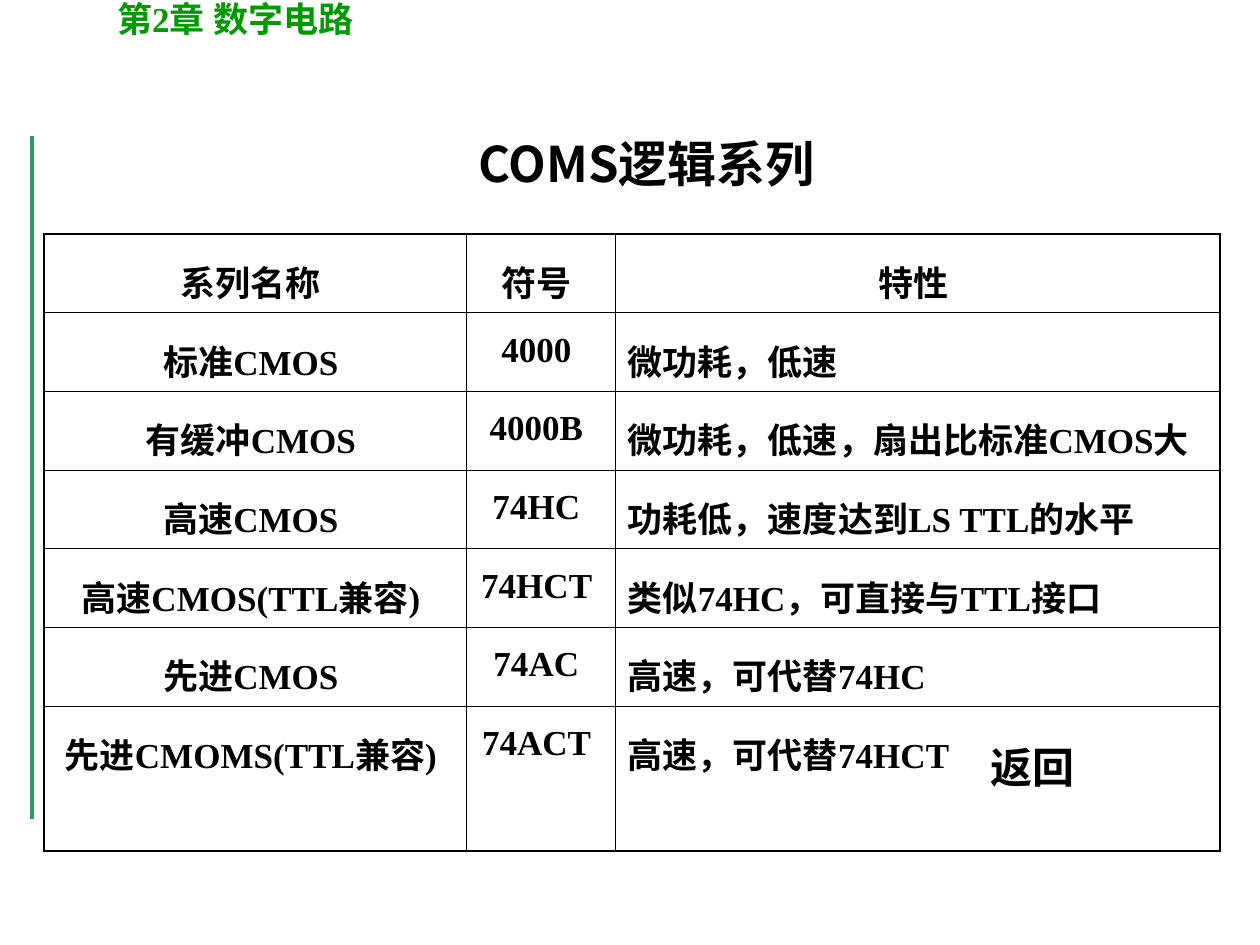
"""Build the slide on CMOS logic families."""
from dataclasses import dataclass
from itertools import groupby
from typing import Any

from lxml.etree import SubElement
from pptx import Presentation
from pptx.dml.color import RGBColor
from pptx.enum.shapes import MSO_CONNECTOR as Connector
from pptx.enum.text import MSO_ANCHOR as Anchor, PP_ALIGN as Align
from pptx.oxml.ns import qn
from pptx.util import Cm, Pt


@dataclass(frozen=True)
class Theme:
    ink: RGBColor = RGBColor(0x00, 0x00, 0x00)
    chapter: RGBColor = RGBColor(0x00, 0x99, 0x00)
    rule: RGBColor = RGBColor(0x33, 0x99, 0x66)
    chinese: str = "Noto Sans CJK SC"
    latin: str = "Times New Roman"
    title_size: int = 28
    back_size: int = 24
    body_size: int = 20
    outer_border: float = 1.08
    inner_border: float = 0.45


THEME = Theme()


@dataclass(frozen=True)
class Label:
    text: str
    left: float
    top: float
    width: float
    height: float
    size: int
    color: RGBColor = THEME.ink
    latin: str = THEME.latin
    align: Align = Align.LEFT
    anchor: Anchor = Anchor.TOP


@dataclass(frozen=True)
class Family:
    name: str
    symbol: str
    feature: str


LABELS = [
    Label("第2章 数字电路", 2.11, -0.18, 14.6, 1.12, THEME.body_size, color=THEME.chapter),
    Label("COMS逻辑系列", 2.24, 1.7, 21.59, 3.18, THEME.title_size,
          latin=THEME.chinese, align=Align.CENTER, anchor=Anchor.MIDDLE),
    Label("返回", 19.71, 14.83, 2.6, 1.5, THEME.back_size),
]
FAMILIES = [
    Family("系列名称 ", "符号 ", "特性 "),
    Family("标准CMOS ", "4000 ", "微功耗，低速"),
    Family("有缓冲CMOS ", "4000B ", "微功耗，低速，扇出比标准CMOS大"),
    Family("高速CMOS ", "74HC ", "功耗低，速度达到LS TTL的水平"),
    Family("高速CMOS(TTL兼容) ", "74HCT ", "类似74HC，可直接与TTL接口"),
    Family("先进CMOS ", "74AC ", "高速，可代替74HC"),
    Family("先进CMOMS(TTL兼容) ", "74ACT ", "高速，可代替74HCT"),
]
COLUMN_WIDTHS = [8.51, 3, 12.2]
ROW_HEIGHTS = [1.58] * (len(FAMILIES) - 1) + [2.92]


def apply(target: Any, values: dict[str, Any]) -> None:
    """Set each named attribute on the target."""
    for name, value in values.items():
        setattr(target, name, value)


def write(para: Any, text: str, size: int, color: RGBColor, latin: str) -> None:
    """Add bold runs, one for each stretch of Chinese or Latin text."""
    for is_latin, letters in groupby(text, str.isascii):
        face = latin if is_latin else THEME.chinese
        span = para.add_run()
        span.text = "".join(letters)
        apply(span.font, {"name": face, "size": Pt(size), "bold": True})
        span.font.color.rgb = color
        SubElement(span.font._element, qn("a:ea"), typeface=face)


def draw_label(page: Any, label: Label) -> None:
    """Draw one line of text in its own box."""
    box = page.shapes.add_textbox(*map(Cm, (label.left, label.top, label.width, label.height)))
    apply(box.text_frame, {"word_wrap": True, "vertical_anchor": label.anchor})
    para = box.text_frame.paragraphs[0]
    para.alignment = label.align
    write(para, label.text, label.size, label.color, label.latin)


def draw_rule(page: Any) -> None:
    """Draw the vertical rule at the left edge."""
    rule = page.shapes.add_connector(Connector.STRAIGHT, Cm(0.64), Cm(2.74), Cm(0.64), Cm(16.51))
    rule.line.color.rgb = THEME.rule
    rule.line.width = Pt(2.25)
    SubElement(rule._element.spPr, qn("a:effectLst"))


def draw_borders(cell: Any, outer: dict[str, bool]) -> None:
    """Give a cell its four borders, heavier on the table's edge."""
    properties = cell._tc.get_or_add_tcPr()
    for side, is_outer in outer.items():
        width = THEME.outer_border if is_outer else THEME.inner_border
        border = SubElement(properties, qn(f"a:ln{side}"), w=str(int(Pt(width))))
        fill = SubElement(border, qn("a:solidFill"))
        SubElement(fill, qn("a:srgbClr"), val=str(THEME.ink))


def draw_table(page: Any) -> None:
    """Draw the table of logic families."""
    last_row, last_column = len(FAMILIES) - 1, len(COLUMN_WIDTHS) - 1
    table = page.shapes.add_table(
        len(FAMILIES), len(COLUMN_WIDTHS), Cm(0.89), Cm(4.72),
        Cm(sum(COLUMN_WIDTHS)), Cm(sum(ROW_HEIGHTS))).table
    apply(table, {"first_row": False, "horz_banding": False})
    for column, width in zip(table.columns, COLUMN_WIDTHS):
        column.width = Cm(width)
    for i, (family, height) in enumerate(zip(FAMILIES, ROW_HEIGHTS)):
        table.rows[i].height = Cm(height)
        for j, text in enumerate((family.name, family.symbol, family.feature)):
            cell = table.cell(i, j)
            draw_borders(cell, {"L": j == 0, "R": j == last_column, "T": i == 0, "B": i == last_row})
            cell.fill.background()
            para = cell.text_frame.paragraphs[0]
            centred = i == 0 or j < last_column
            apply(para, {"alignment": Align.CENTER if centred else Align.LEFT, "line_spacing": 1.3})
            write(para, text, THEME.body_size, THEME.ink, THEME.latin)


def main() -> None:
    """Build and save the deck."""
    deck = Presentation()
    apply(deck, {"slide_width": Cm(25.4), "slide_height": Cm(19.05)})
    page = deck.slides.add_slide(deck.slide_layouts[6])
    draw_rule(page)
    draw_table(page)
    for label in LABELS:
        draw_label(page, label)
    deck.save("out.pptx")


if __name__ == "__main__":
    main()
